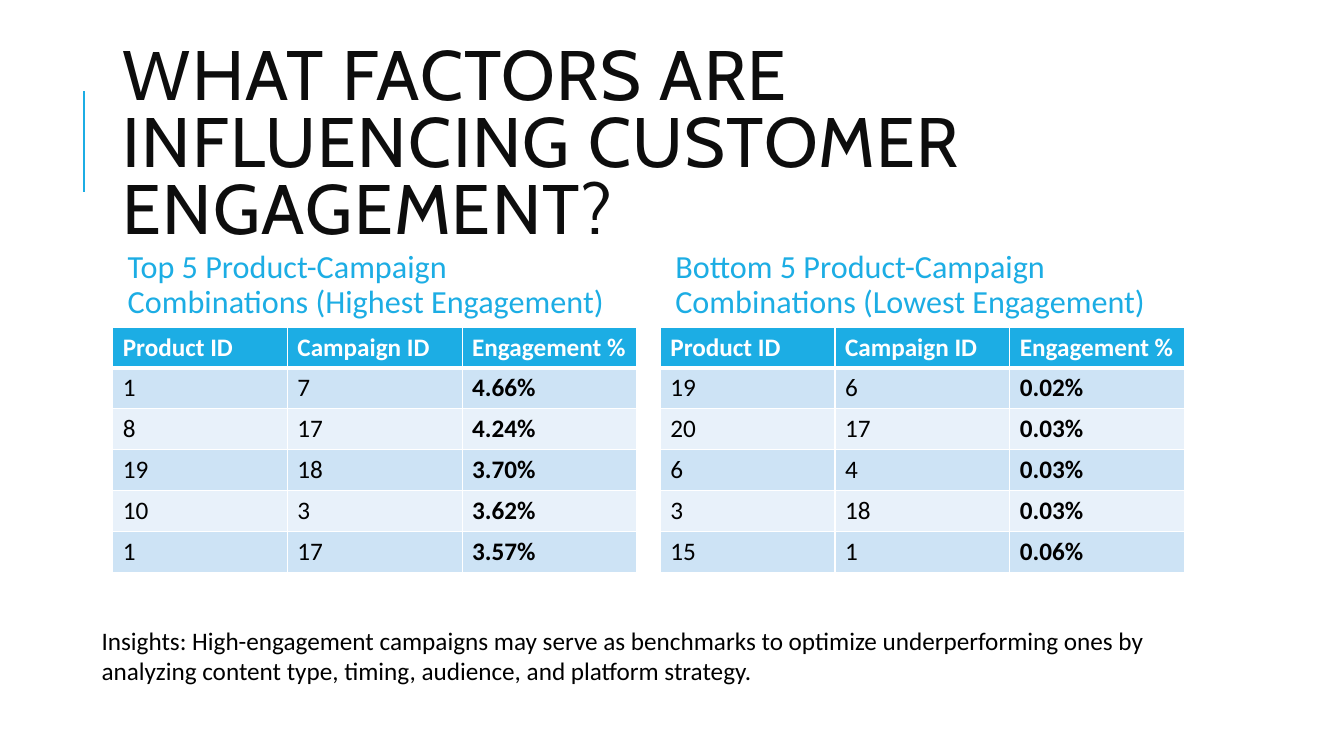
from dataclasses import dataclass

from lxml.etree import SubElement
from pptx import Presentation
from pptx.dml.color import RGBColor
from pptx.enum.shapes import MSO_CONNECTOR
from pptx.enum.text import MSO_ANCHOR, MSO_AUTO_SIZE as AUTO, PP_ALIGN
from pptx.oxml.ns import qn
from pptx.util import Cm, Pt

TITLE = "WHAT FACTORS ARE INFLUENCING CUSTOMER ENGAGEMENT?"
HEADER = ("Product ID", "Campaign ID", "Engagement %")
PANELS = [
    ("Top 5 Product-Campaign Combinations (Highest Engagement)", [
        ("1", "7", "4.66%"),
        ("8", "17", "4.24%"),
        ("19", "18", "3.70%"),
        ("10", "3", "3.62%"),
        ("1", "17", "3.57%"),
    ]),
    ("Bottom 5 Product-Campaign Combinations (Lowest Engagement)", [
        ("19", "6", "0.02%"),
        ("20", "17", "0.03%"),
        ("6", "4", "0.03%"),
        ("3", "18", "0.03%"),
        ("15", "1", "0.06%"),
    ]),
]
INSIGHTS = ("Insights: High-engagement campaigns may serve as benchmarks to optimize "
            "underperforming ones by analyzing content type, timing, audience, and "
            "platform strategy.")


@dataclass(frozen=True)
class Theme:
    accent: str = "1CADE4"
    title: str = "0D0D0D"
    text: str = "000000"
    white: str = "FFFFFF"
    bands: tuple = ("CDE3F5", "E8F1FA")
    title_font: str = "Cabin"
    body_font: str = "Calibri"
    title_size: int = 50
    heading_size: int = 23
    body_size: int = 18


T = Theme()
LEFT, PANEL_W, PANEL_STEP = 2.84, 13.21, 13.8
HEADING_TOP, HEADING_H = 6.05, 2.29
TABLE_TOP, ROW_H = 8.24, 1.03


def add_run(p, text, size, color, font=T.body_font, bold=False):
    r = p.add_run()
    r.text = text
    r.font.size, r.font.name, r.font.bold = Pt(size), font, bold
    r.font.color.rgb = RGBColor.from_string(color)
    return r


def add_border(cell, side, width):
    ln = SubElement(cell._tc.get_or_add_tcPr(), qn(f"a:ln{side}"), w=str(Pt(width)))
    SubElement(SubElement(ln, qn("a:solidFill")), qn("a:srgbClr"), val=T.white)


def add_title(s):
    sp = s.shapes.title
    sp.left, sp.top, sp.width, sp.height = Cm(LEFT), Cm(1.63), Cm(27), Cm(4.17)
    tf = sp.text_frame
    tf.word_wrap, tf.auto_size = True, AUTO.NONE
    tf.vertical_anchor = MSO_ANCHOR.MIDDLE
    p = tf.paragraphs[0]
    p.alignment, p.line_spacing = PP_ALIGN.LEFT, 0.8
    r = add_run(p, TITLE, T.title_size, T.title, T.title_font)
    r.font._element.set("spc", "100")


def add_rule(s):
    line = s.shapes.add_connector(MSO_CONNECTOR.STRAIGHT, Cm(2.12), Cm(4.83), Cm(2.12), Cm(2.29))
    line.line.color.rgb = RGBColor.from_string(T.accent)
    line.line.width = Pt(1.5)
    SubElement(line._element.spPr, qn("a:effectLst"))


def add_text(s, text, box, size, color):
    tf = s.shapes.add_textbox(*map(Cm, box)).text_frame
    tf.word_wrap = True
    add_run(tf.paragraphs[0], text, size, color)
    return tf


def add_heading(s, text, left):
    box = (left, HEADING_TOP, PANEL_W, HEADING_H)
    tf = add_text(s, text, box, T.heading_size, T.accent)
    tf.vertical_anchor = MSO_ANCHOR.MIDDLE
    tf.margin_left = tf.margin_right = Cm(0.38)
    tf.paragraphs[0].line_spacing = 0.9


def add_grid(s, rows, left):
    grid = [HEADER, *rows]
    box = (left, TABLE_TOP, PANEL_W, ROW_H * len(grid))
    table = s.shapes.add_table(len(grid), len(HEADER), *map(Cm, box)).table
    for i, values in enumerate(grid):
        head = i == 0
        for j, value in enumerate(values):
            cell = table.cell(i, j)
            cell.vertical_anchor = MSO_ANCHOR.MIDDLE
            for side in "LRTB":
                thick = (head and side == "B") or (i == 1 and side == "T")
                add_border(cell, side, 3 if thick else 1)
            cell.fill.solid()
            fill = T.accent if head else T.bands[(i - 1) % 2]
            cell.fill.fore_color.rgb = RGBColor.from_string(fill)
            add_run(cell.text_frame.paragraphs[0], value, T.body_size,
                    T.white if head else T.text, bold=head or j == len(HEADER) - 1)


def main():
    """Build the customer engagement slide and save it."""
    prs = Presentation()
    prs.slide_width, prs.slide_height = Cm(33.87), Cm(19.05)
    s = prs.slides.add_slide(prs.slide_layouts[5])
    add_rule(s)
    add_title(s)
    for n, (heading, rows) in enumerate(PANELS):
        left = LEFT + n * PANEL_STEP
        add_heading(s, heading, left)
        add_grid(s, rows, left)
    tf = add_text(s, INSIGHTS, (2.31, 15.62, 29.21, 1.8), T.body_size, T.text)
    tf.auto_size = AUTO.SHAPE_TO_FIT_TEXT
    prs.save("out.pptx")


if __name__ == "__main__":
    main()
